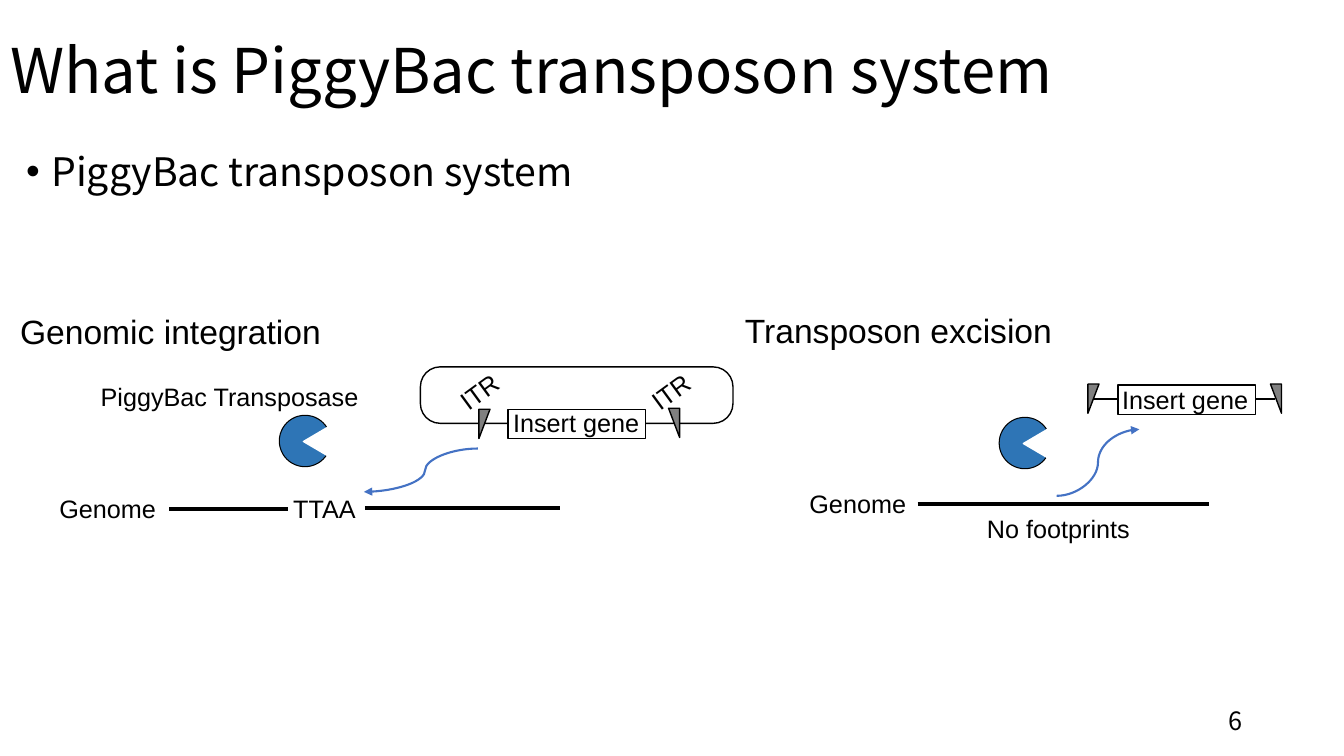
"""Build the slide that explains the PiggyBac transposon system."""
import pptx
import pptx.dml.color
import pptx.enum.shapes
import pptx.enum.text
import pptx.oxml.ns
import pptx.util

Inches = pptx.util.Inches
Pt = pptx.util.Pt
SHAPE = pptx.enum.shapes.MSO_SHAPE
CONNECTOR = pptx.enum.shapes.MSO_CONNECTOR
ALIGN = pptx.enum.text.PP_ALIGN
ANCHOR = pptx.enum.text.MSO_ANCHOR
FIT = pptx.enum.text.MSO_AUTO_SIZE
qn = pptx.oxml.ns.qn
BLACK = pptx.dml.color.RGBColor(0x00, 0x00, 0x00)
WHITE = pptx.dml.color.RGBColor(0xFF, 0xFF, 0xFF)
GREY = pptx.dml.color.RGBColor(0x80, 0x80, 0x80)
ENZYME_BLUE = pptx.dml.color.RGBColor(0x2E, 0x75, 0xB6)
ARROW_BLUE = pptx.dml.color.RGBColor(0x44, 0x72, 0xC4)
HEADING_FONT = "Noto Sans CJK JP"
LABEL_FONT = "Arial"

deck = pptx.Presentation()
deck.slide_width = Inches(13.33)
deck.slide_height = Inches(7.5)
page = deck.slides.add_slide(deck.slide_layouts[1])


def write_text(box, text, size, font, align=ALIGN.LEFT):
    para = box.text_frame.paragraphs[0]
    para.alignment = align
    span = para.add_run()
    span.text = text
    span.font.size = Pt(size)
    span.font.name = font
    span.font.color.rgb = BLACK
    return para


def add_block(kind, place, fill, line=BLACK, weight=1):
    block = page.shapes.add_shape(kind, *map(Inches, place))
    block.shadow.inherit = False
    if fill is None:
        block.fill.background()
    else:
        block.fill.solid()
        block.fill.fore_color.rgb = fill
    block.line.color.rgb = line
    block.line.width = Pt(weight)
    return block


plasmid = add_block(SHAPE.ROUNDED_RECTANGLE, (4.17, 3.64, 3.1, 0.56), None)
plasmid.adjustments[0] = 0.35

for box, place, text, size, anchor in (
    (page.shapes.title, (0, 0, 11.5, 1.45), "What is PiggyBac transposon system", 44, ANCHOR.MIDDLE),
    (page.placeholders[1], (0.16, 1.46, 11.5, 0.8), "PiggyBac transposon system", 28, ANCHOR.TOP),
):
    box.left, box.top, box.width, box.height = map(Inches, place)
    box.text_frame.auto_size = FIT.NONE
    box.text_frame.vertical_anchor = anchor
    para = write_text(box, text, size, HEADING_FONT)
    para.line_spacing = 0.9

para.space_before = Pt(10)
bullet_props = para._p.get_or_add_pPr()
bullet_props.set("marL", str(Inches(0.25)))
bullet_props.set("indent", str(Inches(-0.25)))
bullet_props.append(bullet_props.makeelement(qn("a:buChar"), {"char": "•"}))

number = page.shapes.add_textbox(Inches(9.42), Inches(6.95), Inches(3), Inches(0.4))
number.text_frame.word_wrap = True
number.text_frame.vertical_anchor = ANCHOR.MIDDLE
write_text(number, "6", 18, HEADING_FONT, ALIGN.RIGHT)

for kind, start, end, color, weight in (
    (CONNECTOR.STRAIGHT, (9.1, 5), (11.99, 5), BLACK, 3),
    (CONNECTOR.STRAIGHT, (3.62, 5.04), (5.55, 5.04), BLACK, 3),
    (CONNECTOR.STRAIGHT, (1.68, 5.05), (2.86, 5.05), BLACK, 3),
    (CONNECTOR.STRAIGHT, (10.85, 3.96), (12.65, 3.96), BLACK, 1),
    (CONNECTOR.CURVE, (10.48, 4.92), (11.3, 4.26), ARROW_BLUE, 1.5),
    (CONNECTOR.CURVE, (4.74, 4.45), (3.61, 4.88), ARROW_BLUE, 1.5),
):
    link = page.shapes.add_connector(kind, *map(Inches, start + end))
    link.line.color.rgb = color
    link.line.width = Pt(weight)
    link_props = link._element.spPr
    if kind == CONNECTOR.CURVE:
        stroke = link_props.find(qn("a:ln"))
        stroke.append(stroke.makeelement(qn("a:tailEnd"), {"type": "triangle"}))
    link_props.append(link_props.makeelement(qn("a:effectLst"), {}))

bend = link_props.find(qn("a:prstGeom")).find(qn("a:avLst"))
bend.append(bend.makeelement(qn("a:gd"), {"name": "adj1", "fmla": "val 46300"}))

for left, top, rotation in (
    (4.66, 4.15, 90), (6.54, 4.14, 270), (10.7, 3.9, 90), (12.51, 3.9, 270),
):
    terminal = add_block(SHAPE.ISOSCELES_TRIANGLE, (left, top, 0.29, 0.11), GREY)
    terminal.adjustments[0] = 0
    terminal.rotation = rotation
    if rotation == 270:
        terminal._element.spPr.find(qn("a:xfrm")).set("flipH", "1")

for left, top in ((5.04, 4.06), (11.09, 3.82)):
    add_block(SHAPE.RECTANGLE, (left, top, 1.36, 0.29), WHITE)

for left, top in ((2.77, 4.12), (9.91, 4.14)):
    add_block(SHAPE.OVAL, (left, top, 0.51, 0.51), ENZYME_BLUE, weight=0.75)
    notch = add_block(SHAPE.ISOSCELES_TRIANGLE, (left + 0.21, top + 0.09, 0.4, 0.34), WHITE, WHITE)
    notch.rotation = 270

for text, left, top, width, size, rotation in (
    ("Insert gene", 4.99, 3.99, 1.51, 18, 0),
    ("Insert gene", 11.03, 3.76, 1.51, 18, 0),
    ("TTAA", 2.81, 4.84, 0.83, 18, 0),
    ("Genome", 0.49, 4.84, 1.17, 18, 0),
    ("Genome", 7.93, 4.8, 1.17, 18, 0),
    ("No footprints", 9.69, 5.04, 1.63, 18, 0),
    ("ITR", 4.45, 3.68, 0.61, 18, 323.8),
    ("ITR", 6.35, 3.68, 0.61, 18, 323.8),
    ("PiggyBac Transposase", 0.9, 3.73, 2.78, 18, 0),
    ("Genomic integration", 0.08, 3.04, 3.22, 24, 0),
    ("Transposon excision", 7.27, 3.03, 3.28, 24, 0),
):
    height = 0.5 if size == 24 else 0.4
    label = page.shapes.add_textbox(*map(Inches, (left, top, width, height)))
    label.text_frame.word_wrap = False
    label.text_frame.auto_size = FIT.SHAPE_TO_FIT_TEXT
    label.rotation = rotation
    write_text(label, text, size, LABEL_FONT, ALIGN.CENTER if size == 24 else ALIGN.LEFT)

deck.save("out.pptx")
